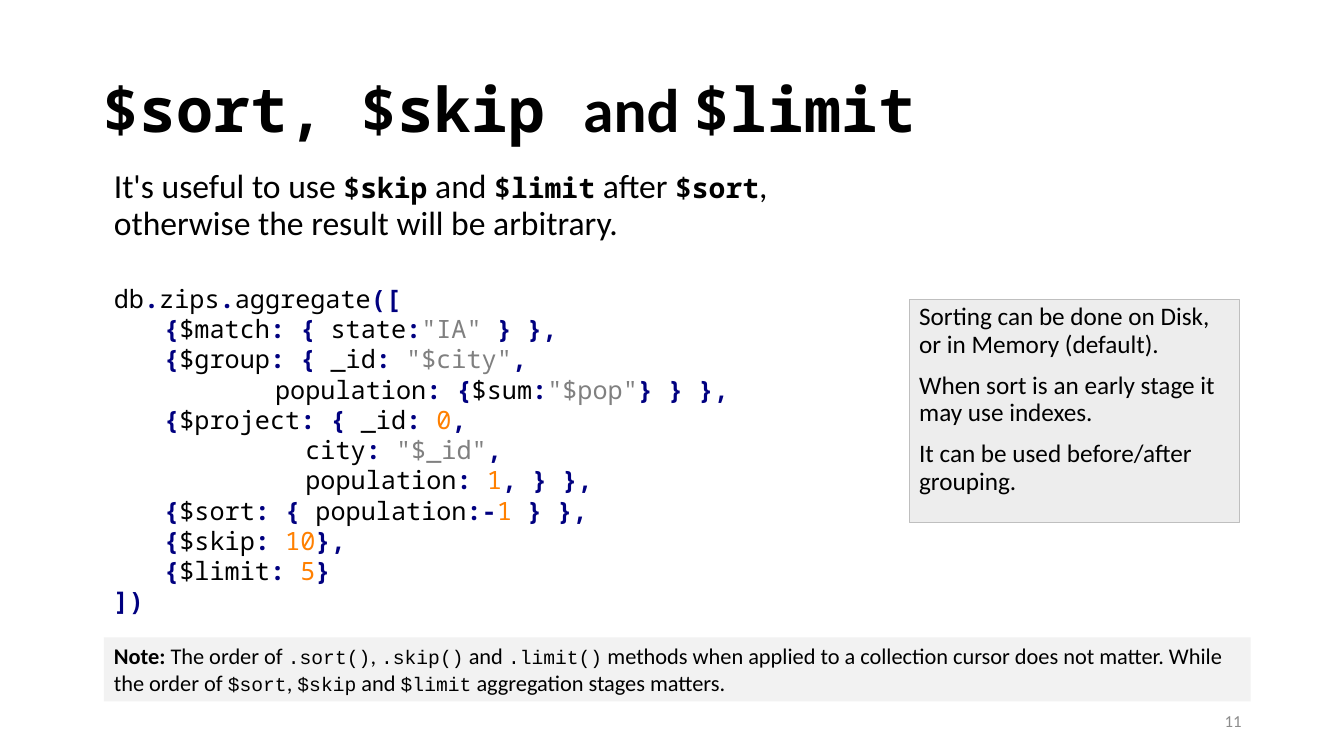
from itertools import groupby

from pptx import Presentation
from pptx import util as u
from pptx.dml.color import RGBColor
from pptx.enum import shapes, text

PX = 9525


class Theme:
    sans, mono, courier = "Calibri", "Noto Sans Mono", "Courier New"
    ink, muted = "000000", "8C8C8C"
    punctuation, string, number = "000080", "808080", "FF8000"
    note_fill, aside_fill, aside_line = "F2F2F2", "EDEDED", "BFBFBF"
    title, lead, inline, code, aside, note, note_code, page = 44, 24, 20, 18, 18, 16, 14, 12


def add_box(place, fill=None, anchor=text.MSO_ANCHOR.TOP):
    place = [v * PX for v in place]
    if fill:
        sp = s.shapes.add_shape(shapes.MSO_SHAPE.RECTANGLE, *place)
        sp.shadow.inherit = False
        sp.fill.solid()
        sp.fill.fore_color.rgb = RGBColor.from_string(fill)
        sp.line.fill.background()
    else:
        sp = s.shapes.add_textbox(*place)
    tf = sp.text_frame
    tf.word_wrap = True
    tf.vertical_anchor = anchor
    tf.paragraphs[0].alignment = text.PP_ALIGN.LEFT
    return sp


def add_run(p, words, size, font=Theme.sans, bold=False, color=Theme.ink):
    r = p.add_run()
    r.text = words
    r.font.size = u.Pt(size)
    r.font.name = font
    r.font.bold = bold
    r.font.color.rgb = RGBColor.from_string(color)


prs = Presentation()
prs.slide_width, prs.slide_height = 1280 * PX, 720 * PX
s = prs.slides.add_slide(prs.slide_layouts[6])

title = add_box((88, 38, 1104, 139), anchor=text.MSO_ANCHOR.MIDDLE)
p = title.text_frame.paragraphs[0]
p.line_spacing = 0.9
for words, font in [("$sort, $skip ", Theme.mono), ("and ", Theme.sans), ("$limit", Theme.mono)]:
    add_run(p, words, Theme.title, font, True)

lead = add_box((99, 157, 715, 115))
p = lead.text_frame.paragraphs[0]
p.line_spacing = 0.9
lead_parts = ["It's useful to use ", "$skip", " and ", "$limit", " after ", "$sort",
              ", otherwise the result will be arbitrary."]
for words in lead_parts:
    if words.startswith("$"):
        add_run(p, words, Theme.inline, Theme.mono, True)
    else:
        add_run(p, words, Theme.lead)

code_lines = [
    'db.zips.aggregate([',
    '\t{$match: { state:"IA" } },',
    '\t{$group: { _id: "$city",',
    '\t\t    population: {$sum:"$pop"} } },',
    '\t{$project: { _id: 0,',
    '\t\t      city: "$_id",',
    '\t\t      population: 1, } },',
    '\t{$sort: { population:-1 } },',
    '\t{$skip: 10},',
    '\t{$limit: 5}',
    '])',
]
code_colors = dict.fromkeys(".,:-()[]{}", Theme.punctuation) | dict.fromkeys("0123456789", Theme.number)
tf = add_box((99, 265, 878, 329)).text_frame
for i, line in enumerate(code_lines):
    p = tf.add_paragraph() if i else tf.paragraphs[0]
    for j, part in enumerate(line.split('"')):
        if j % 2:
            add_run(p, f'"{part}"', Theme.code, Theme.mono, color=Theme.string)
            continue
        for color, chars in groupby(part, lambda c: code_colors.get(c, Theme.ink)):
            add_run(p, "".join(chars), Theme.code, Theme.mono, color == Theme.punctuation, color)

note = add_box((99, 607, 1092, 61), Theme.note_fill)
p = note.text_frame.paragraphs[0]
add_run(p, "Note: ", Theme.note, bold=True)
note_parts = ["The order of ", ".sort()", ", ", ".skip()", " and ", ".limit()",
              " methods when applied to a collection cursor does not matter. While the order of ",
              "$sort", ", ", "$skip", " and ", "$limit", " aggregation stages matters."]
for words in note_parts:
    if words[0] in ".$":
        add_run(p, words, Theme.note_code, Theme.courier)
    else:
        add_run(p, words, Theme.note)

number = add_box((904, 667, 288, 38), anchor=text.MSO_ANCHOR.MIDDLE)
p = number.text_frame.paragraphs[0]
p.alignment = text.PP_ALIGN.RIGHT
add_run(p, "11", Theme.page, color=Theme.muted)

aside = add_box((866, 285, 315, 213), Theme.aside_fill)
aside.line.color.rgb = RGBColor.from_string(Theme.aside_line)
aside.line.width = u.Pt(0.75)
tf = aside.text_frame
aside_texts = ["Sorting can be done on Disk, or in Memory (default).",
               "When sort is an early stage it may use indexes.",
               "It can be used before/after grouping."]
for i, words in enumerate(aside_texts):
    p = tf.add_paragraph() if i else tf.paragraphs[0]
    p.alignment = text.PP_ALIGN.LEFT
    p.line_spacing = 0.9
    if i:
        p.space_before = u.Pt(10)
    add_run(p, words, Theme.aside)

prs.save("out.pptx")
